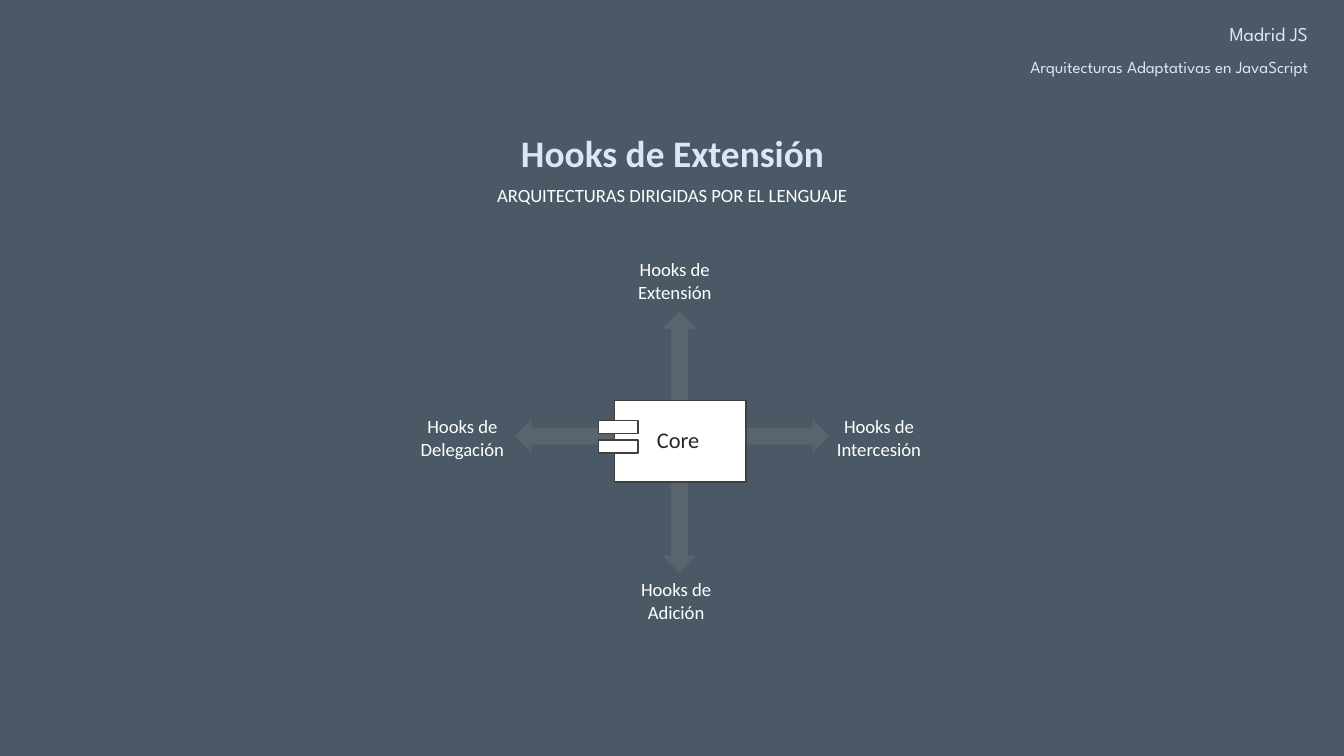
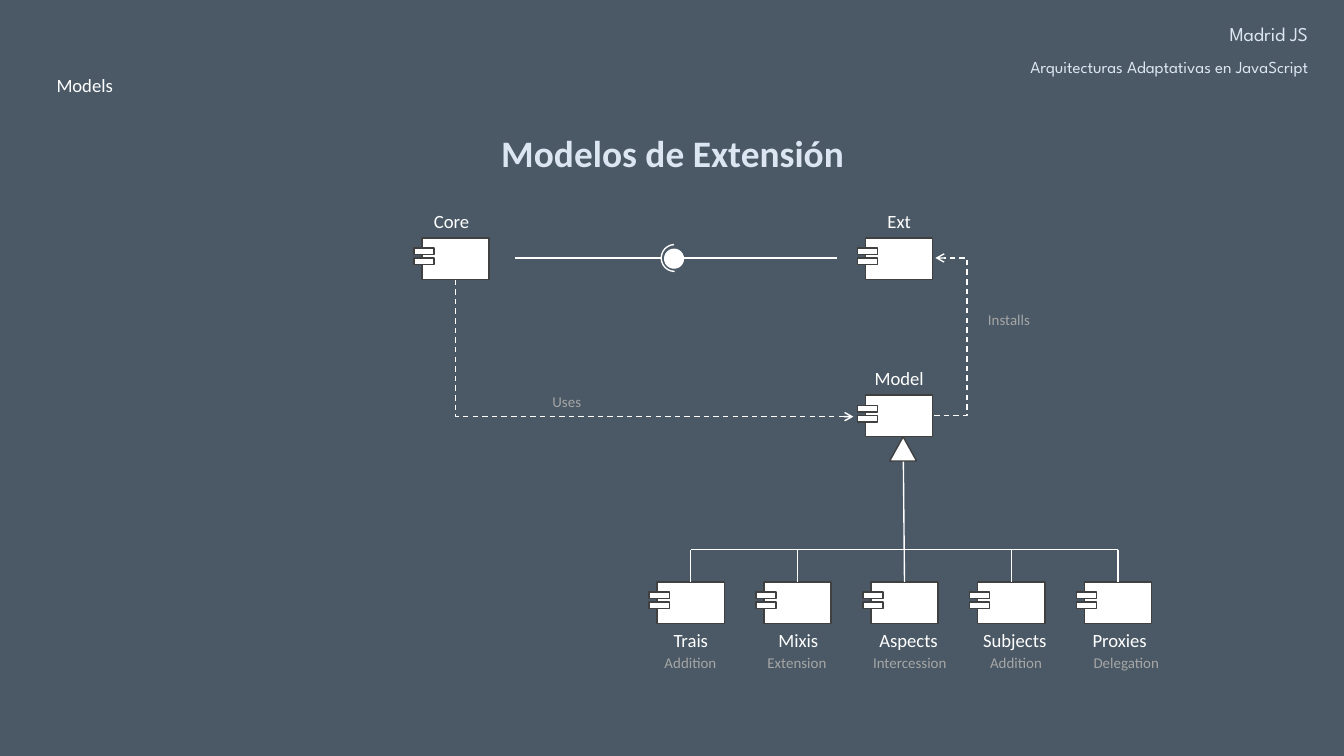
from lxml.etree import SubElement
from pptx import Presentation
from pptx.dml.color import RGBColor
from pptx.enum.dml import MSO_LINE
from pptx.enum.shapes import MSO_CONNECTOR as LINK, MSO_SHAPE as SHAPE
from pptx.enum.text import MSO_ANCHOR as ANCHOR, MSO_AUTO_SIZE as FIT, PP_ALIGN as ALIGN
from pptx.oxml.ns import qn
from pptx.util import Inches, Pt

WHITE, SLATE, BACKDROP = "FFFFFF", "2B3C4B", "4A5965"
PALE, GREY, MUTED = "DCE6F2", "808080", "A6A6A6"
OUTLINE, INK = "404040", "262626"
BODY_FONT, HEADER_FONT = "Calibri", "League Spartan"
SLIDE_WIDTH = 10
SLIDE_HEIGHT = SLIDE_WIDTH * 9 / 16
LABEL_HEIGHT = 0.18

HEADER = [("Madrid JS", 10.5, 10), ("Arquitecturas Adaptativas en JavaScript", 9, 14.6)]

HOOKS = [
    ("Hooks de Extensión", 4.53, 1.92),
    ("Hooks de Intercesión", 6.05, 3.09),
    ("Hooks de Adición", 4.54, 4.3),
    ("Hooks de Delegación", 2.95, 3.09),
]
HOOK_ARROWS = [(5.42, 3.12, 0), (4.68, 3.76, 90), (3.83, 3.12, 180), (4.68, 2.57, 270)]

COMPONENTS = [
    ("Core", 3.05, 3.14, 1.77),
    ("Ext", 6.38, 6.44, 1.77),
    ("Model", 6.38, 6.44, 2.94),
]
MODELS = [
    (("Trais", 4.83, 0.62), ("Addition ", 4.84, 0.62)),
    (("Mixis", 5.63, 0.62), ("Extension", 5.59, 0.68)),
    (("Aspects", 6.42, 0.68), ("Intercession", 6.37, 0.8)),
    (("Subjects", 7.19, 0.72), ("Addition", 7.2, 0.72)),
    (("Proxies", 8.02, 0.62), ("Delegation", 8.02, 0.72)),
]
RELATIONS = [("Installs ", 7.21, 2.31), ("Uses ", 3.92, 2.92)]
COMPONENT_WIDTH = 0.5
MODELS_LEFT, MODELS_TOP, MODELS_STEP = 4.89, 4.33, 0.795
BUS_TOP, TRUNK_LEFT, TRUNK_TOP = 4.09, 6.72, 3.25


def rgb(color):
    return RGBColor.from_string(color)


def set_font(para, size, color, name=BODY_FONT, bold=False):
    para.font.size = Pt(size)
    para.font.name = name
    para.font.bold = bold
    para.font.color.rgb = rgb(color)


def add_shape(parent, kind, left, top, width, height, fill, line=None, alpha=None):
    shape = parent.shapes.add_shape(kind, *map(Inches, (left, top, width, height)))
    shape.shadow.inherit = False
    shape.fill.solid()
    shape.fill.fore_color.rgb = rgb(fill)
    if alpha:
        color = shape.element.xpath("p:spPr/a:solidFill/a:srgbClr")[0]
        SubElement(color, qn("a:alpha"), val=str(alpha * 1000))
    if line:
        shape.line.color.rgb = rgb(line)
        shape.line.width = Pt(0.75)
    else:
        shape.line.fill.background()
    return shape


def add_label(page, text, left, top, width, size=10, color=WHITE):
    box = page.shapes.add_textbox(*map(Inches, (left, top, width, LABEL_HEIGHT)))
    frame = box.text_frame
    frame.word_wrap = True
    frame.margin_top, frame.margin_bottom = 0, Inches(0.05)
    para = frame.paragraphs[0]
    para.text = text
    para.alignment = ALIGN.CENTER
    set_font(para, size, color)
    return box


def add_component(page, left, top, width):
    group = page.shapes.add_group_shape()
    body = add_shape(group, SHAPE.RECTANGLE, left, top, width, 0.62 * width, WHITE, OUTLINE)
    for offset in (0.15, 0.3):
        add_shape(group, SHAPE.RECTANGLE, left - 0.12 * width, top + offset * width,
                  0.3 * width, 0.1 * width, WHITE, OUTLINE)
    return body


def add_link(page, start, end, kind=LINK.STRAIGHT, dashed=False):
    link = page.shapes.add_connector(kind, *map(Inches, (*start, *end)))
    link.line.color.rgb = rgb(WHITE)
    link.line.width = Pt(0.75)
    properties = link.element.spPr
    if dashed:
        link.line.dash_style = MSO_LINE.DASH
        SubElement(properties.find(qn("a:ln")), qn("a:tailEnd"), type="arrow", w="sm", len="sm")
    SubElement(properties, qn("a:effectLst"))
    return link


def add_master_parts(deck, page):
    backdrop = add_shape(page, SHAPE.RECTANGLE, 0, 0, SLIDE_WIDTH, SLIDE_HEIGHT, SLATE, alpha=85)
    header = page.shapes.add_textbox(*map(Inches, (6.08, 0.15, 3.75, 0.35)))
    frame = header.text_frame
    frame.word_wrap = True
    for index, (text, size, spacing) in enumerate(HEADER):
        para = frame.add_paragraph() if index else frame.paragraphs[0]
        para.text = text
        para.alignment = ALIGN.RIGHT
        para.line_spacing = Pt(spacing)
        para.space_before = Pt(2 * index)
        set_font(para, size, PALE, HEADER_FONT)
    for number, part in enumerate((backdrop, header), 101):
        part.element.xpath("p:nvSpPr/p:cNvPr")[0].set("id", str(number))
        deck.slide_master.shapes.element.append(part.element)


def add_page(deck, title, left, width):
    page = deck.slides.add_slide(deck.slide_layouts[5])
    heading = page.shapes.title
    heading.left, heading.top = Inches(left), Inches(0.92)
    heading.width, heading.height = Inches(width), Inches(0.44)
    frame = heading.text_frame
    frame.text = title
    frame.word_wrap = True
    frame.vertical_anchor = ANCHOR.TOP
    frame.auto_size = FIT.SHAPE_TO_FIT_TEXT
    para = frame.paragraphs[0]
    para.alignment = ALIGN.CENTER
    set_font(para, 20, PALE, bold=True)
    return page


def build_hooks(deck):
    page = add_page(deck, "Hooks de Extensión", 3.42, 3.17)
    add_master_parts(deck, page)
    subtitle = add_label(page, "ARQUITECTURAS DIRIGIDAS POR EL LENGUAJE", 3.55, 1.36, 2.9)
    subtitle.text_frame.vertical_anchor = ANCHOR.MIDDLE
    subtitle.text_frame.margin_top = subtitle.text_frame.margin_bottom = Inches(0.08)
    for text, left, top in HOOKS:
        add_label(page, text, left, top, 0.98)
    for left, top, angle in HOOK_ARROWS:
        arrow = add_shape(page, SHAPE.RIGHT_ARROW, left, top, 0.75, 0.25, GREY, alpha=30)
        arrow.rotation = angle
    add_component(page, 4.57, 2.98, 0.98)
    add_label(page, "Core", 4.72, 3.17, 0.65, 12, INK)


def build_models(deck):
    page = add_page(deck, "Modelos de Extensión", 3.33, 3.35)
    add_label(page, "Models", 0.14, 0.55, 0.98)

    add_link(page, (6.23, 1.92), (3.83, 1.92))
    socket = add_shape(page, SHAPE.ARC, 4.92, 1.82, 0.2, 0.2, BACKDROP, WHITE)
    socket.adjustments[0], socket.adjustments[1] = 54, 160.19
    add_shape(page, SHAPE.OVAL, 4.94, 1.85, 0.15, 0.15, WHITE)

    for name, label_left, left, top in COMPONENTS:
        add_component(page, left, top, COMPONENT_WIDTH)
        add_label(page, name, label_left, top - 0.21, 0.62)

    centers = [MODELS_LEFT + COMPONENT_WIDTH / 2 + MODELS_STEP * i for i in range(len(MODELS))]
    add_link(page, (centers[-1], BUS_TOP), (centers[0], BUS_TOP))
    for index, (center, (name, kind)) in enumerate(zip(centers, MODELS)):
        body = add_component(page, center - COMPONENT_WIDTH / 2, MODELS_TOP, COMPONENT_WIDTH)
        is_trunk = index == len(MODELS) // 2
        start = (TRUNK_LEFT, TRUNK_TOP) if is_trunk else (center, BUS_TOP)
        add_link(page, start, (center, MODELS_TOP)).end_connect(body, 0)
        for (text, left, width), top, size, color in (
            (name, 4.68, 10, WHITE), (kind, 4.86, 8, MUTED)
        ):
            add_label(page, text, left, top, width, size, color)
    add_shape(page, SHAPE.ISOSCELES_TRIANGLE, TRUNK_LEFT - 0.1, TRUNK_TOP, 0.2, 0.18,
              WHITE, OUTLINE)

    installs = add_link(page, (6.95, 3.09), (6.96, 1.92), LINK.ELBOW, dashed=True)
    guides = installs.element.spPr.find(qn("a:prstGeom")).get_or_add_avLst()
    SubElement(guides, qn("a:gd"), name="adj1", fmla="val 2500000")

    uses = add_link(page, (5.38, 1.11), (4.36, 4.07), LINK.ELBOW, dashed=True)
    uses.element.spPr.find(qn("a:xfrm")).set("rot", "16200000")
    uses.element.spPr.find(qn("a:prstGeom")).set("prst", "bentConnector2")

    for text, left, top in RELATIONS:
        add_label(page, text, left, top, 0.62, 8, MUTED)


def main():
    deck = Presentation()
    deck.slide_width, deck.slide_height = Inches(SLIDE_WIDTH), Inches(SLIDE_HEIGHT)
    build_hooks(deck)
    build_models(deck)
    deck.save("out.pptx")


if __name__ == "__main__":
    main()
